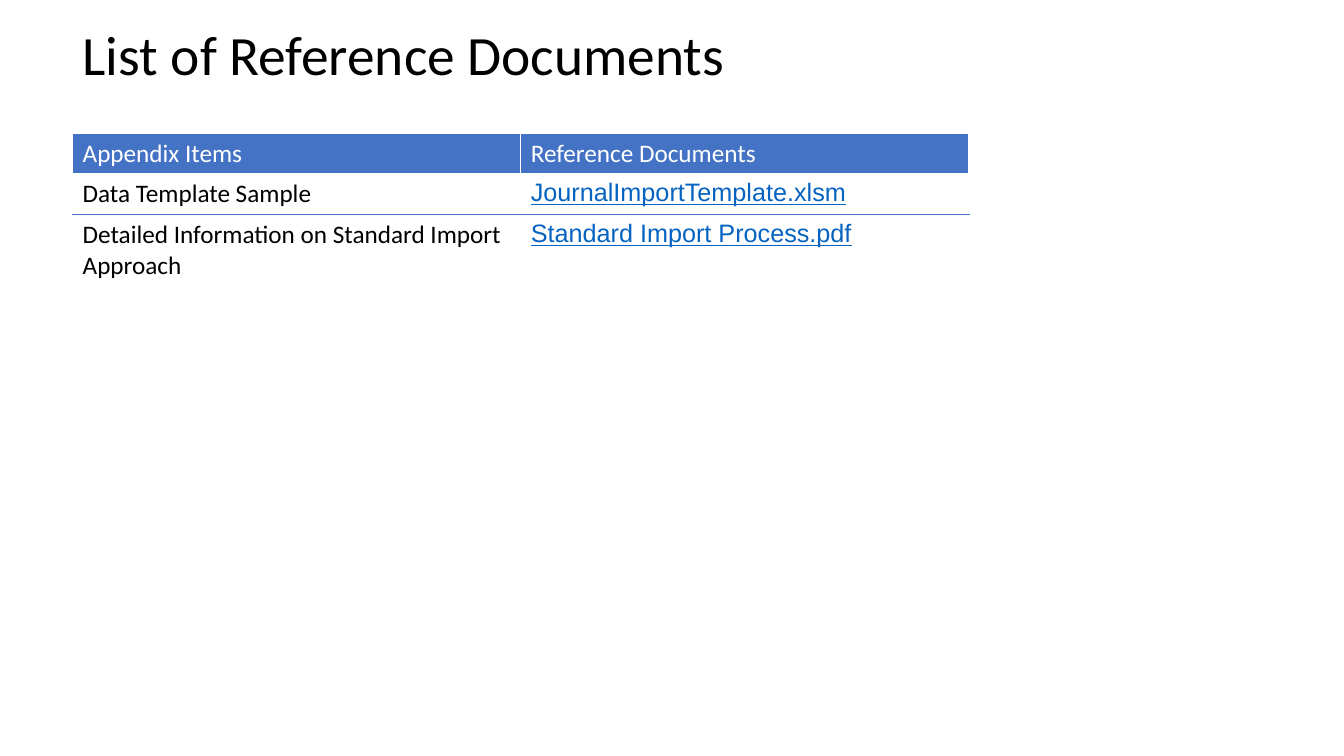
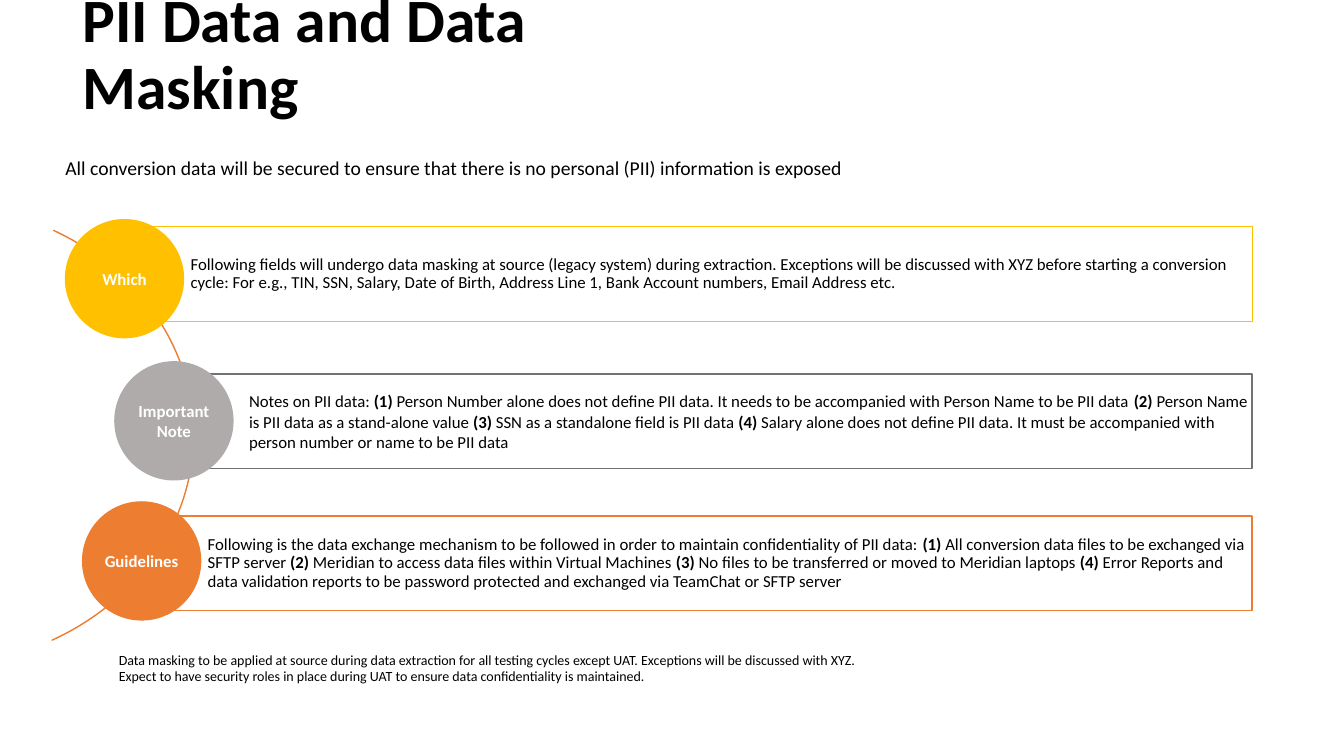
from lxml import etree
from pptx import Presentation
from pptx.dml.color import RGBColor
from pptx.enum.shapes import MSO_SHAPE as SHAPE
from pptx.enum.text import MSO_ANCHOR as ANCHOR, MSO_AUTO_SIZE as AUTO, PP_ALIGN as ALIGN
from pptx.oxml.ns import qn
from pptx.util import Inches, Pt

# Shared style
C = {"black": "000000", "white": "FFFFFF", "blue": "4472C4", "link": "0563C1",
     "gold": "FFC000", "gray": "AFABAB", "dark": "767171", "orange": "ED7D31"}
FONT = "Calibri"
TITLE_LEFT = 0.72
BORDERS = {"left": "a:lnL", "right": "a:lnR", "top": "a:lnT", "bottom": "a:lnB"}

# Content: reference documents
DOCS_TITLE = "List of Reference Documents"
DOCS = [
    ("Appendix Items", "Reference Documents"),
    ("Data Template Sample", "JournalImportTemplate.xlsm"),
    ("Detailed Information on Standard Import Approach", "Standard Import Process.pdf"),
]
ROW_HEIGHTS = (0.4, 0.4, 0.71)

# Content: data masking; text between asterisks is bold
PII_TITLE = "PII Data and Data Masking"
INTRO = ["All conversion data will be secured to ensure that there is no personal (PII) "
         "information is exposed"]
FOOTNOTES = [
    "Data masking to be applied at source during data extraction for all testing cycles "
    "except UAT. Exceptions will be discussed with XYZ.",
    "Expect to have security roles in place during UAT to ensure data confidentiality is "
    "maintained.",
]
TOPICS = [
    dict(label=["Which"], circle=(0.65, 2.18), box=(1.14, 2.25), fill="gold", line="gold",
         spacing=0.9,
         text="Following fields will undergo data masking at source (legacy system) during "
              "extraction. Exceptions will be discussed with XYZ before starting a conversion "
              "cycle: For e.g., TIN, SSN, Salary, Date of Birth, Address Line 1, Bank Account "
              "numbers, Email Address etc."),
    dict(label=["Important", "Note"], circle=(1.14, 3.59), box=(1.72, 3.71), fill="gray",
         line="dark", spacing=1.0,
         text="Notes on PII data: *(1)* Person Number alone does not define PII data. It needs "
              "to be accompanied with Person Name to be PII data *(2)* Person Name is PII data "
              "as a stand-alone value *(3)* SSN as a standalone field is PII data *(4)* Salary "
              "alone does not define PII data. It must be accompanied with person number or "
              "name to be PII data"),
    dict(label=["Guidelines"], circle=(0.82, 4.98), box=(1.31, 5.12), fill="orange",
         line="orange", spacing=0.9,
         text="Following is the data exchange mechanism to be followed in order to maintain "
              "confidentiality of PII data: *(1)* All conversion data files to be exchanged via "
              "SFTP server *(2)* Meridian to access data files within Virtual Machines *(3)* No "
              "files to be transferred or moved to Meridian laptops *(4)* Error Reports and data "
              "validation reports to be password protected and exchanged via TeamChat or SFTP "
              "server"),
]
BOX_RIGHT, BOX_HEIGHT, CIRCLE = 12.42, 0.94, 1.17


def rgb(name):
    return RGBColor.from_string(C[name])


def write(tf, lines, size, color="black", bold=False, font=FONT, underline=False,
          align=ALIGN.LEFT, spacing=1.0):
    for i, line in enumerate(lines):
        p = tf.paragraphs[0] if i == 0 else tf.add_paragraph()
        p.alignment, p.line_spacing = align, spacing
        for j, part in enumerate(line.split("*")):
            r = p.add_run()
            r.text = part
            style = dict(name=font, size=Pt(size), bold=bold or j % 2 == 1,
                         underline=underline)
            for key, value in style.items():
                setattr(r.font, key, value)
            r.font.color.rgb = rgb(color)


def frame(tf, margins=None, **settings):
    for key, value in dict(word_wrap=True, auto_size=AUTO.NONE, **settings).items():
        setattr(tf, key, value)
    for side, value in zip(("left", "top", "right", "bottom"), margins or ()):
        setattr(tf, f"margin_{side}", Inches(value))
    return tf


def titled_slide(prs, title, top, width, height, size, bold=False):
    s = prs.slides.add_slide(prs.slide_layouts[5])
    sp = s.shapes.title
    place = dict(left=TITLE_LEFT, top=top, width=width, height=height)
    for key, value in place.items():
        setattr(sp, key, Inches(value))
    tf = frame(sp.text_frame, vertical_anchor=ANCHOR.MIDDLE)
    write(tf, [title], size, bold=bold, spacing=0.9)
    return s


def add_shape(s, kind, at, line, fill=None):
    sp = s.shapes.add_shape(kind, *map(Inches, at))
    sp.shadow.inherit = False
    sp.line.color.rgb, sp.line.width = rgb(line), Pt(1)
    if fill:
        sp.fill.solid()
        sp.fill.fore_color.rgb = rgb(fill)
    else:
        sp.fill.background()
    return sp


def add_text(s, at, lines, size):
    sp = s.shapes.add_textbox(*map(Inches, at))
    write(frame(sp.text_frame), lines, size)


def set_borders(cell, colors):
    # Cell borders come before the fill
    pr = cell._tc.get_or_add_tcPr()
    for i, side in enumerate(s for s in BORDERS if s in colors):
        ln = etree.Element(qn(BORDERS[side]), w=str(Pt(1)))
        fill = etree.SubElement(ln, qn("a:solidFill"))
        etree.SubElement(fill, qn("a:srgbClr"), val=C[colors[side]])
        pr.insert(i, ln)


def build_documents(prs):
    s = titled_slide(prs, DOCS_TITLE, 0.39, 8, 0.37, 39.6)
    at = (TITLE_LEFT, 1.32, 8.89, sum(ROW_HEIGHTS))
    table = s.shapes.add_table(len(DOCS), len(DOCS[0]), *map(Inches, at)).table
    last = len(DOCS) - 1
    for i, (row, height) in enumerate(zip(DOCS, ROW_HEIGHTS)):
        table.rows[i].height = Inches(height)
        for j, text in enumerate(row):
            cell = table.cell(i, j)
            cell.fill.solid()
            cell.fill.fore_color.rgb = rgb("white" if i else "blue")
            style = dict(color="black" if i else "white")
            if i and j:
                style = dict(color="link", font="Arial", underline=True)
            write(cell.text_frame, [text], 18, **style)
            set_borders(cell, dict(left="white", right="white",
                                   top="blue" if i > 1 else "white",
                                   bottom="blue" if 0 < i < last else "white"))


def build_masking(prs):
    s = titled_slide(prs, PII_TITLE, 0.35, 6.51, 0.41, 44, bold=True)

    # Arc behind the topics
    arc = add_shape(s, SHAPE.BLOCK_ARC, (-3.29, 2.02, 5.21, 4.59), "orange", "orange")
    for i, value in enumerate((180.58, 35.66, 0)):
        arc.adjustments[i] = value

    # Topic boxes and circles
    for topic in TOPICS:
        left, top = topic["box"]
        box = add_shape(s, SHAPE.RECTANGLE, (left, top, BOX_RIGHT - left, BOX_HEIGHT),
                        topic["line"])
        tf = frame(box.text_frame, (0.75, 0.03, 0.03, 0.03), vertical_anchor=ANCHOR.MIDDLE)
        write(tf, [topic["text"]], 12, spacing=topic["spacing"])
        circle = add_shape(s, SHAPE.OVAL, (*topic["circle"], CIRCLE, CIRCLE),
                           topic["fill"], topic["fill"])
        tf = frame(circle.text_frame, (0, 0, 0, 0), vertical_anchor=ANCHOR.MIDDLE)
        write(tf, topic["label"], 12, "white", bold=True, align=ALIGN.CENTER)

    # Introduction and footnotes
    add_text(s, (0.55, 1.5, 11.42, 0.34), INTRO, 14)
    add_text(s, (1.08, 6.41, 11.9, 0.44), FOOTNOTES, 10)


def main():
    prs = Presentation()
    prs.slide_width, prs.slide_height = Inches(13.33), Inches(7.5)
    build_documents(prs)
    build_masking(prs)
    prs.save("out.pptx")


if __name__ == "__main__":
    main()
